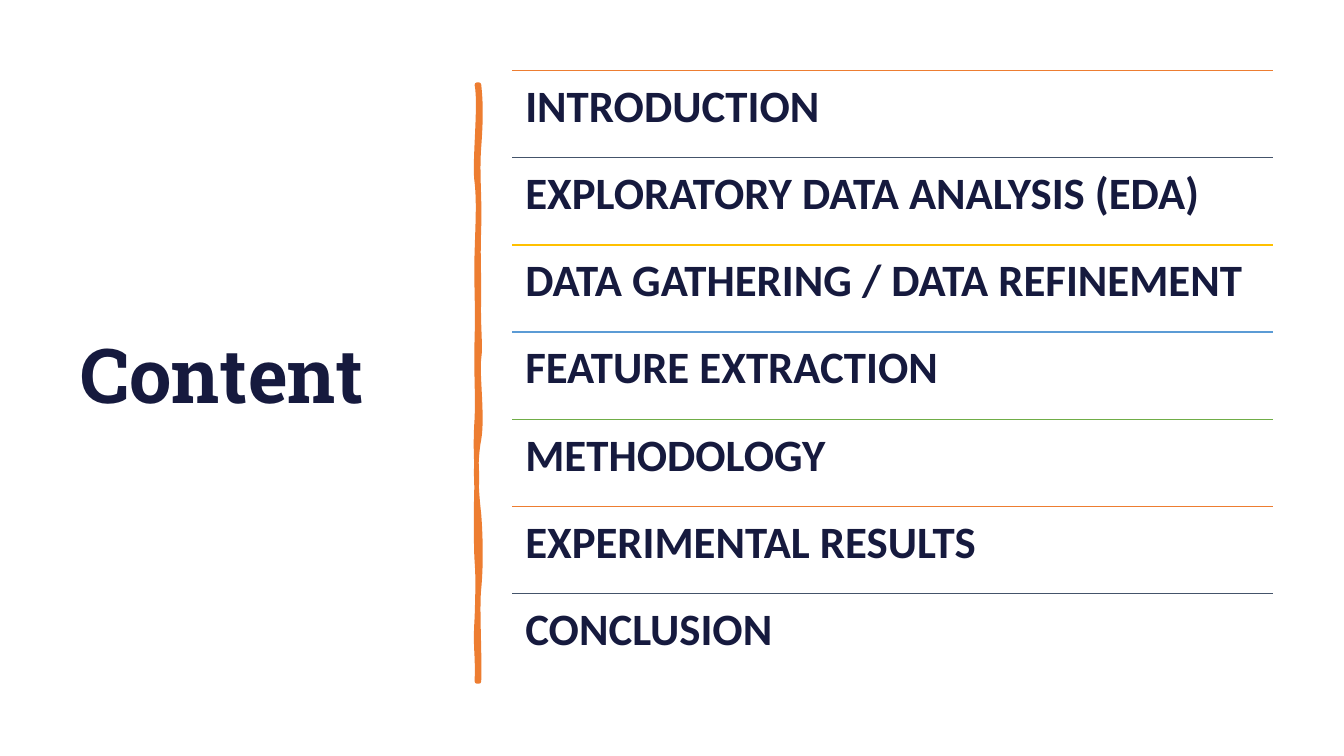
"""Build the Content slide with its list of sections."""
from itertools import cycle

from lxml import etree
from pptx import Presentation
from pptx import util as u
from pptx.dml import color
from pptx.enum import shapes, text
from pptx.oxml import ns

SECTIONS = [
    "INTRODUCTION",
    "EXPLORATORY DATA ANALYSIS (EDA)",
    "DATA GATHERING / DATA REFINEMENT",
    "FEATURE EXTRACTION",
    "METHODOLOGY",
    "EXPERIMENTAL RESULTS",
    "CONCLUSION",
]
RULE_COLOURS = ["ED7D31", "44546A", "FFC000", "5B9BD5", "70AD47"]
LIST_LEFT, LIST_TOP, LIST_WIDTH, ROW_PITCH = 5.08, 0.7, 7.55, 0.865

BRUSH_CURVES = [
    (4.75, 0.84),
    (4.77, 1.02), (4.77, 1.19), (4.75, 1.46),
    (4.73, 1.73), (4.76, 1.95), (4.75, 2.26),
    (4.74, 2.57), (4.75, 2.62), (4.75, 2.94),
    (4.74, 3.25), (4.77, 3.42), (4.75, 3.56),
    (4.73, 3.7), (4.79, 4.14), (4.75, 4.36),
    (4.71, 4.57), (4.72, 4.84), (4.75, 5.1),
    (4.77, 5.36), (4.77, 5.64), (4.75, 5.84),
    (4.73, 6.03), (4.76, 6.5), (4.75, 6.76),
    (4.74, 6.76), (4.73, 6.76), (4.73, 6.76),
    (4.74, 6.46), (4.71, 6.44), (4.73, 6.13),
    (4.74, 5.83), (4.74, 5.7), (4.73, 5.57),
    (4.72, 5.44), (4.72, 4.95), (4.73, 4.77),
    (4.73, 4.59), (4.71, 4.45), (4.73, 4.15),
    (4.74, 3.86), (4.72, 3.73), (4.73, 3.35),
    (4.74, 2.98), (4.72, 2.81), (4.73, 2.5),
    (4.74, 2.18), (4.75, 2), (4.73, 1.81),
    (4.7, 1.63), (4.77, 1.04), (4.73, 0.84),
    (4.74, 0.84), (4.74, 0.84), (4.75, 0.84),
]


def rgb(value):
    return color.RGBColor.from_string(value)


def write(frame, words, font, size, colour, bold=True, inset=None,
          anchor=text.MSO_ANCHOR.TOP):
    frame.word_wrap = True
    frame.auto_size = text.MSO_AUTO_SIZE.NONE
    frame.vertical_anchor = anchor
    if inset is not None:
        frame.margin_left = frame.margin_right = u.Inches(inset)
        frame.margin_top = frame.margin_bottom = u.Inches(inset)
    para = frame.paragraphs[0]
    para.alignment = text.PP_ALIGN.LEFT
    para.line_spacing = 0.9
    span = para.add_run()
    span.text = words
    span.font.name = font
    span.font.size = u.Pt(size)
    span.font.bold = bold
    span.font.color.rgb = rgb(colour)


def bend_segments(shape):
    segments = list(shape.element.iter(ns.qn("a:lnTo")))
    for start in range(0, len(segments), 3):
        trio = segments[start:start + 3]
        curve = etree.Element(ns.qn("a:cubicBezTo"))
        trio[0].addprevious(curve)
        for segment in trio:
            curve.append(segment[0])
            segment.getparent().remove(segment)


class ContentSlide:
    heading_font = "Roboto Slab"
    list_font = "Calibri"
    ink = "161A3E"
    accent = "ED7D31"

    def __init__(self, deck):
        self.page = deck.slides.add_slide(deck.slide_layouts[5])

    def title(self, words, left, top, width, height):
        box = self.page.shapes.title
        box.left, box.top = u.Inches(left), u.Inches(top)
        box.width, box.height = u.Inches(width), u.Inches(height)
        write(box.text_frame, words, self.heading_font, 54, self.ink,
              anchor=text.MSO_ANCHOR.MIDDLE)

    def backdrop(self, width, height, colour):
        panel = self.page.shapes.add_shape(
            shapes.MSO_SHAPE.RECTANGLE, 0, 0, width, height)
        panel.shadow.inherit = False
        panel.fill.solid()
        panel.fill.fore_color.rgb = rgb(colour)
        panel.line.fill.background()
        self.page.shapes.title.element.addprevious(panel.element)

    def brush_stroke(self, curves):
        first, *rest = [(u.Inches(x), u.Inches(y)) for x, y in curves]
        builder = self.page.shapes.build_freeform(*first)
        builder.add_line_segments(rest, close=True)
        stroke = builder.convert_to_shape()
        bend_segments(stroke)
        stroke.shadow.inherit = False
        stroke.fill.solid()
        stroke.fill.fore_color.rgb = rgb(self.accent)
        stroke.line.color.rgb = rgb(self.accent)
        stroke.line.width = u.Pt(3.25)
        outline = stroke.element.spPr.find(ns.qn("a:ln"))
        etree.SubElement(outline, ns.qn("a:round"))

    def rule(self, left, top, width, colour):
        line = self.page.shapes.add_connector(
            shapes.MSO_CONNECTOR.STRAIGHT, u.Inches(left), u.Inches(top),
            u.Inches(left + width), u.Inches(top))
        line.line.color.rgb = rgb(colour)
        line.line.width = u.Pt(1)
        etree.SubElement(line.element.spPr, ns.qn("a:effectLst"))

    def entry(self, words, left, top, width, height):
        box = self.page.shapes.add_textbox(
            u.Inches(left), u.Inches(top), u.Inches(width), u.Inches(height))
        write(box.text_frame, words, self.list_font, 32, self.ink, inset=0.13)


def main():
    deck = Presentation()
    deck.slide_width, deck.slide_height = u.Inches(13.33), u.Inches(7.5)
    slide = ContentSlide(deck)
    slide.backdrop(deck.slide_width, deck.slide_height, "FFFFFF")
    slide.title("Content", 0.7, 0.7, 3.74, 6.11)
    slide.brush_stroke(BRUSH_CURVES)
    for row, (section, colour) in enumerate(zip(SECTIONS, cycle(RULE_COLOURS))):
        top = LIST_TOP + row * ROW_PITCH
        slide.rule(LIST_LEFT, top, LIST_WIDTH, colour)
        slide.entry(section, LIST_LEFT, top, LIST_WIDTH, ROW_PITCH)
    deck.save("out.pptx")


if __name__ == "__main__":
    main()
